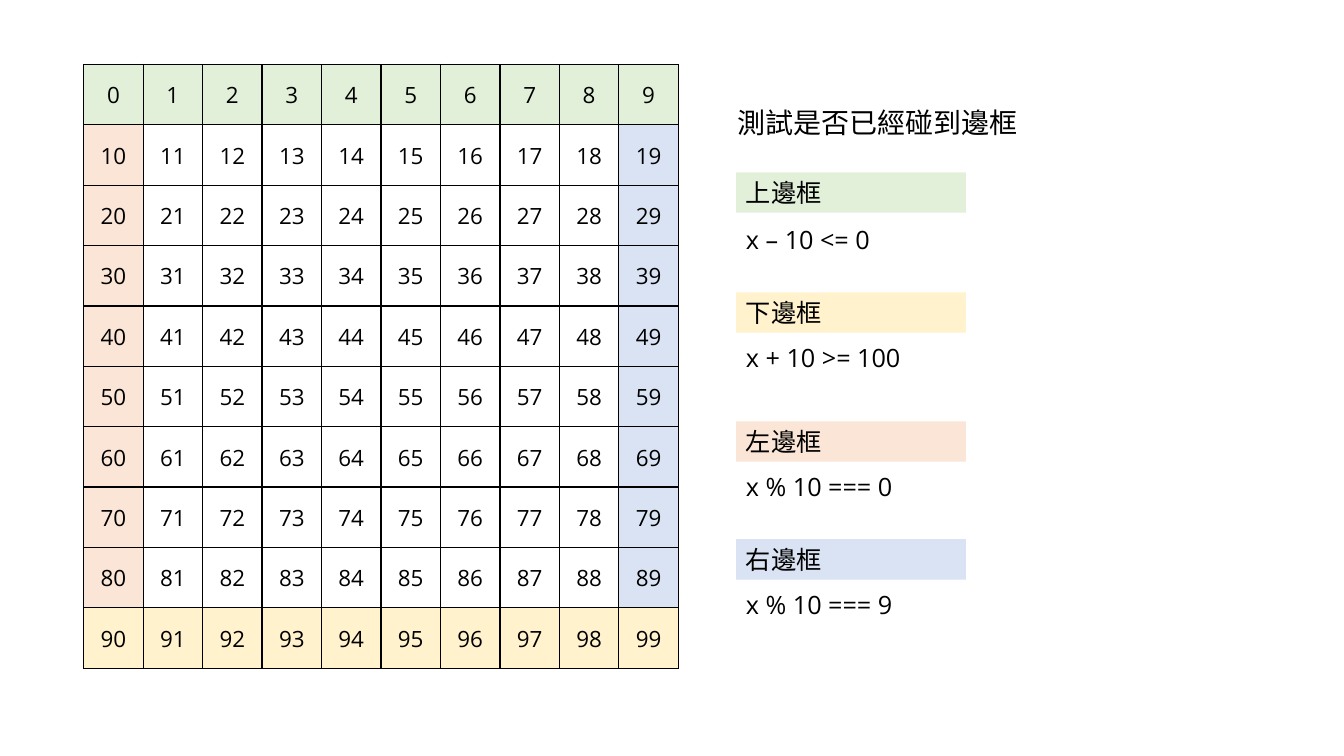
from lxml import etree
from pptx import Presentation, util as u
from pptx.dml.color import RGBColor
from pptx.enum import shapes, text
from pptx.oxml import ns

BLACK = RGBColor(0x00, 0x00, 0x00)
GREEN = RGBColor(0xE2, 0xF0, 0xD9)
YELLOW = RGBColor(0xFF, 0xF2, 0xCC)
ORANGE = RGBColor(0xFB, 0xE5, 0xD6)
BLUE = RGBColor(0xDA, 0xE3, 0xF3)

HEADING = "測試是否已經碰到邊框"
EDGES = [
    ("上邊框", "x – 10 <= 0", GREEN, 1.71, 2.18),
    ("下邊框", "x + 10 >= 100", YELLOW, 2.9, 3.35),
    ("左邊框", "x % 10 === 0", ORANGE, 4.18, 4.63),
    ("右邊框", "x % 10 === 9", BLUE, 5.35, 5.8),
]
SIDE = 10
BOARD = (0.83, 0.64, 5.9, 5.99)
EDGE_LEFT, LABEL_WIDTH, TEST_WIDTH, LINE_HEIGHT = 7.3, 2.28, 4.66, 0.4


def inches(*lengths):
    return [u.Inches(length) for length in lengths]


def write(frame, words, size=18, font="Open Sans", align=text.PP_ALIGN.LEFT):
    frame.word_wrap = True
    paragraph = frame.paragraphs[0]
    paragraph.alignment = align
    run = paragraph.add_run()
    run.text = words
    run.font.size = u.Pt(size)
    run.font.name = font
    run.font.color.rgb = BLACK


def edge_color(row, column):
    if row == 0:
        return GREEN
    if row == SIDE - 1:
        return YELLOW
    return {0: ORANGE, SIDE - 1: BLUE}.get(column)


def outline(cell):
    properties = cell._tc.get_or_add_tcPr()
    for position, side in enumerate(("lnL", "lnR", "lnT", "lnB")):
        line = etree.Element(ns.qn(f"a:{side}"), w=str(u.Pt(1)))
        fill = etree.SubElement(line, ns.qn("a:solidFill"))
        etree.SubElement(fill, ns.qn("a:srgbClr"), val=str(BLACK))
        properties.insert(position, line)


deck = Presentation()
deck.slide_width, deck.slide_height = inches(13.33, 7.5)
slide = deck.slides.add_slide(deck.slide_layouts[5])

board = slide.shapes.add_table(SIDE, SIDE, *inches(*BOARD)).table
board.first_row = board.horz_banding = False
for column in board.columns:
    column.width = u.Inches(BOARD[2] / SIDE)
for row in board.rows:
    row.height = u.Inches(BOARD[3] / SIDE)
for number in range(SIDE * SIDE):
    row, column = divmod(number, SIDE)
    cell = board.cell(row, column)
    cell.margin_left = cell.margin_right = cell.margin_top = u.Inches(0.01)
    cell.margin_bottom = 0
    cell.vertical_anchor = text.MSO_ANCHOR.MIDDLE
    write(cell.text_frame, str(number), size=16, align=text.PP_ALIGN.CENTER)
    color = edge_color(row, column)
    if color:
        cell.fill.solid()
        cell.fill.fore_color.rgb = color
    else:
        cell.fill.background()
    outline(cell)

heading = slide.shapes.title
heading.left, heading.top, heading.width, heading.height = inches(7.21, 1, 3.57, 0.44)
heading.text_frame.vertical_anchor = text.MSO_ANCHOR.TOP
heading.text_frame.auto_size = text.MSO_AUTO_SIZE.SHAPE_TO_FIT_TEXT
write(heading.text_frame, HEADING, size=20, font="Arial")

for name, test, color, label_top, test_top in EDGES:
    label = slide.shapes.add_shape(
        shapes.MSO_SHAPE.RECTANGLE,
        *inches(EDGE_LEFT, label_top, LABEL_WIDTH, LINE_HEIGHT))
    label.shadow.inherit = False
    label.fill.solid()
    label.fill.fore_color.rgb = color
    label.line.fill.background()
    condition = slide.shapes.add_textbox(
        *inches(EDGE_LEFT, test_top, TEST_WIDTH, LINE_HEIGHT))
    for part, words, font in ((label, name, "Arial"), (condition, test, "Open Sans")):
        part.text_frame.vertical_anchor = text.MSO_ANCHOR.TOP
        part.text_frame.auto_size = text.MSO_AUTO_SIZE.SHAPE_TO_FIT_TEXT
        write(part.text_frame, words, font=font)

deck.save("out.pptx")
